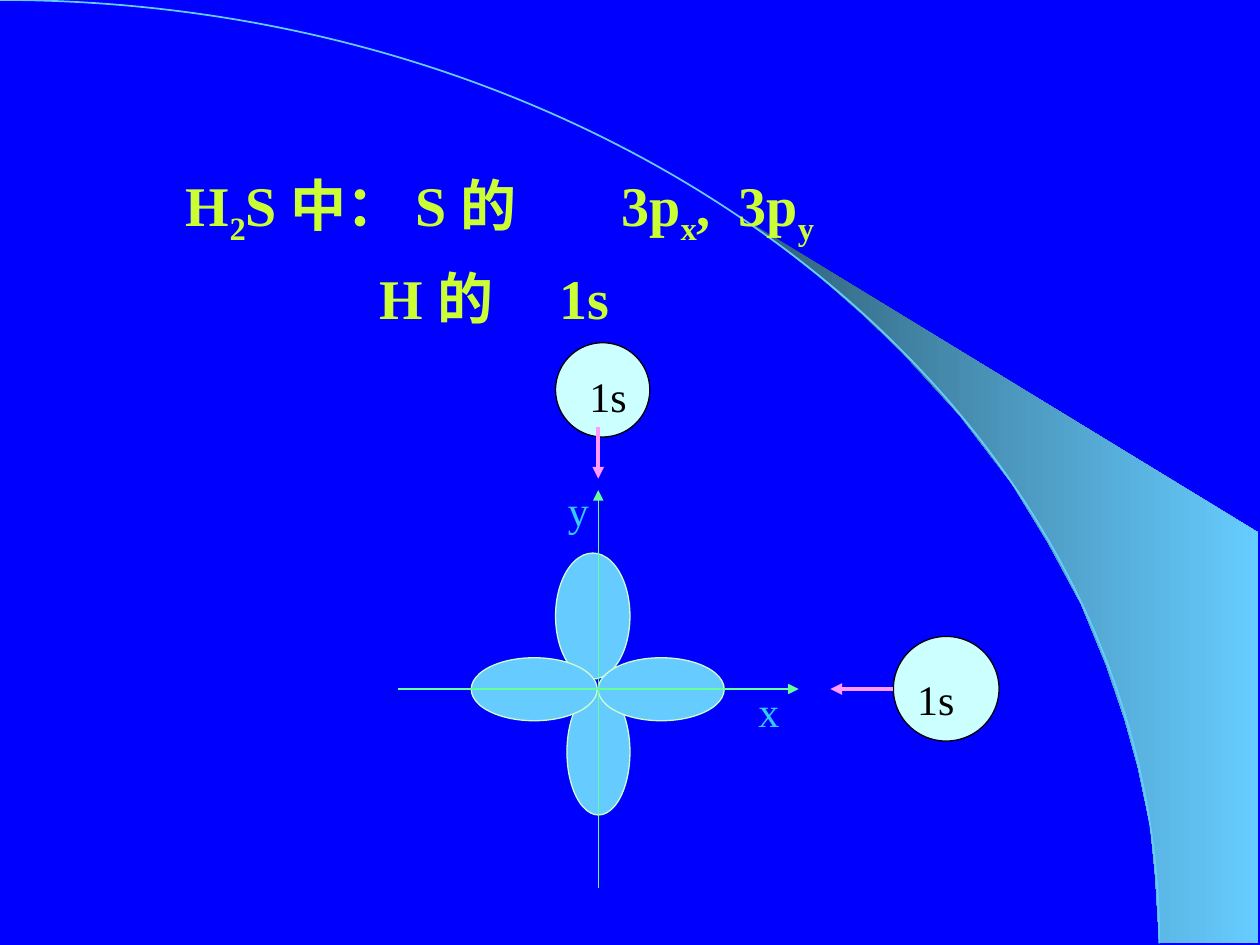
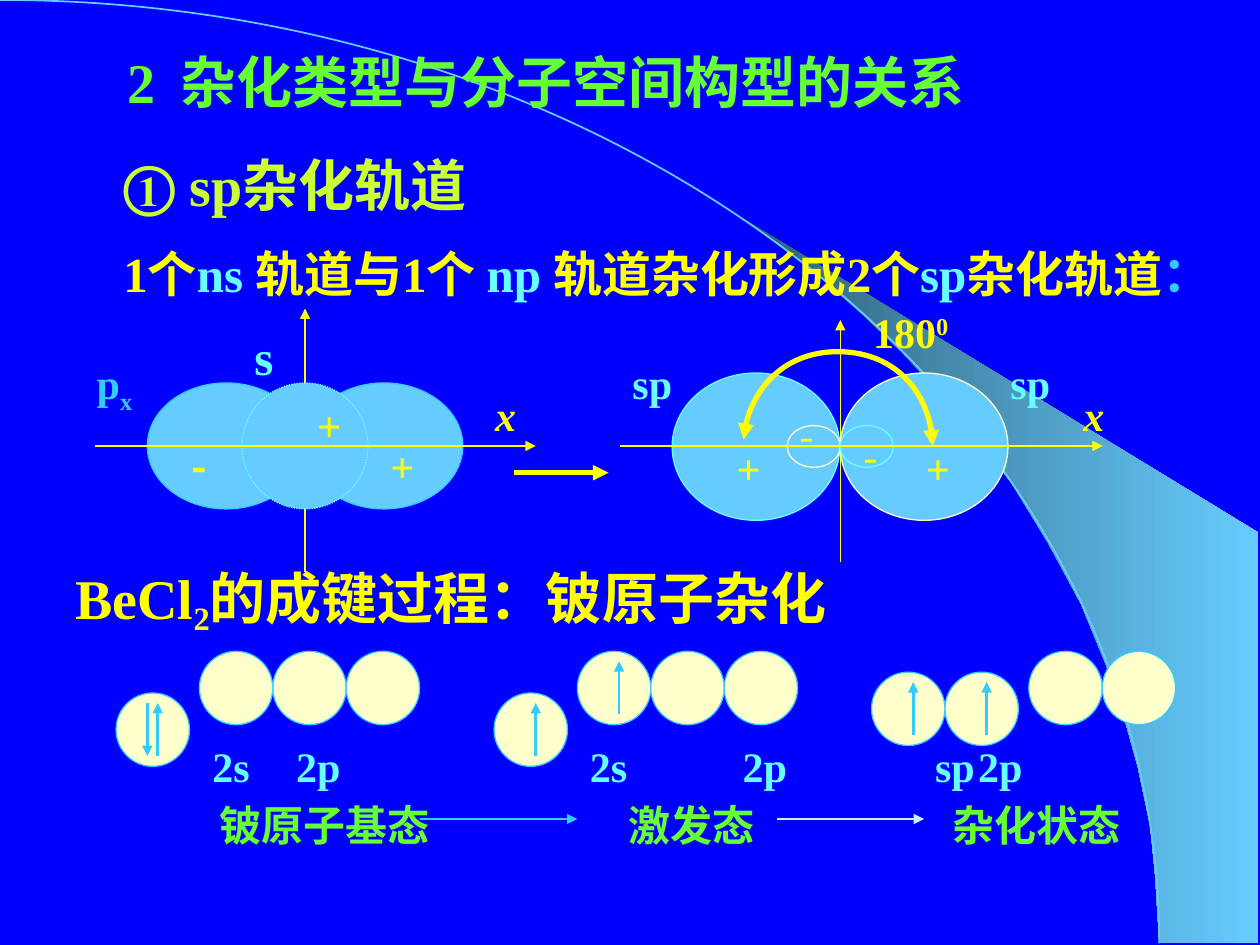
from dataclasses import dataclass
from typing import NamedTuple

from lxml import etree
from pptx import Presentation
from pptx import util as u
from pptx.dml import color
from pptx.enum import dml, shapes, text
from pptx.oxml import ns

COLOURS = {
    "background": "0000FF", "band_dark": "2F5E76", "sky": "66CCFF", "azure": "33CCFF",
    "lime": "CCFF33", "green": "66FF33", "mint": "CCFFCC", "axis_green": "66FF99",
    "pale_cyan": "CCFFFF", "cyan": "66FFFF", "pale_blue": "CCECFF", "cream": "FFFFCC",
    "yellow": "FFFF00", "pink": "FF99FF", "black": "000000",
}
LATIN, CHINESE = "Times New Roman", "Noto Sans CJK SC"
BAND = [(23.37, 19), (25.37, 19.02), (25.37, 10.74), (14.96, 4.39), (15.85, 5.05),
        (16.59, 5.64), (17.4, 6.35), (18.19, 7.11), (19.35, 8.38), (20.4, 9.75),
        (21.13, 10.95), (21.79, 12.17), (22.3, 13.41), (22.68, 14.53), (22.94, 15.47),
        (23.19, 16.66), (23.29, 17.68)]
HORIZON = [(0, 0), (12.9, 0), (23.37, 8.51), (23.37, 19.02)]
ANGLE_ARC = [(14.99, 8.86), (15.06, 7.87), (15.9, 7.09), (16.89, 7.09),
             (17.96, 7.09), (18.8, 7.95), (18.8, 8.99)]
ORBITAL_SIZE = 1.48
STATE_STEP = 7.62


class Run(NamedTuple):
    text: str
    baseline: int = 0
    colour: str = ""


@dataclass
class Paragraph:
    runs: list[Run]
    colour: str
    size: float = 24
    bold: bool = True
    italic: bool = False
    font: str = LATIN
    line_spacing: float = 1
    before: float = 0
    indent: float = 0
    tabs: tuple[float, ...] = ()
    justified: bool = False


@dataclass
class Label:
    left: float
    top: float
    paragraph: Paragraph
    width: float = 1.27


@dataclass
class Ellipse:
    left: float
    top: float
    width: float
    height: float
    fill: str
    line: str
    dash: dml.MSO_LINE | None = None


@dataclass
class Arrow:
    start: tuple[float, float]
    end: tuple[float, float]
    colour: str
    weight: float = 0.75


@dataclass
class Orbital:
    left: float
    top: float
    spins: str = ""


@dataclass
class State:
    left: float
    width: float
    orbitals: list[Orbital]
    lower: str
    lower_indent: float
    upper_tab: float
    name: str
    name_indent: float


def rgb(name: str) -> color.RGBColor:
    return color.RGBColor.from_string(COLOURS[name])


def add_text(slide, left: float, top: float, width: float, height: float,
             paragraphs: list[Paragraph]) -> None:
    frame = slide.shapes.add_textbox(*map(u.Cm, (left, top, width, height))).text_frame
    frame.word_wrap = True
    for index, content in enumerate(paragraphs):
        paragraph = frame.add_paragraph() if index else frame.paragraphs[0]
        properties = paragraph._p.get_or_add_pPr()
        if content.indent:
            properties.set("indent", str(u.Cm(content.indent)))
        if content.tabs:
            tab_list = etree.SubElement(properties, ns.qn("a:tabLst"))
            for position in content.tabs:
                etree.SubElement(tab_list, ns.qn("a:tab"), pos=str(u.Cm(position)), algn="l")
        paragraph.line_spacing = content.line_spacing
        paragraph.space_before = u.Pt(content.before)
        paragraph.alignment = text.PP_ALIGN.JUSTIFY if content.justified else text.PP_ALIGN.LEFT
        font = paragraph.font
        font.name, font.size = content.font, u.Pt(content.size)
        font.bold, font.italic = content.bold, content.italic
        font.color.rgb = rgb(content.colour)
        latin = font._element.find(ns.qn("a:latin"))
        latin.addnext(latin.makeelement(ns.qn("a:ea"), typeface=CHINESE))
        for part in content.runs:
            run = paragraph.add_run()
            run.text = part.text
            if part.colour:
                run.font.color.rgb = rgb(part.colour)
            if part.baseline:
                run.font._element.set("baseline", str(part.baseline * 1000))


def add_labels(slide, labels: list[Label]) -> None:
    for label in labels:
        add_text(slide, label.left, label.top, label.width, 1.27, [label.paragraph])


def add_ellipse(slide, ellipse: Ellipse) -> None:
    box = map(u.Cm, (ellipse.left, ellipse.top, ellipse.width, ellipse.height))
    shape = slide.shapes.add_shape(shapes.MSO_SHAPE.OVAL, *box)
    shape.shadow.inherit = False
    shape.fill.solid()
    shape.fill.fore_color.rgb = rgb(ellipse.fill)
    shape.line.color.rgb = rgb(ellipse.line)
    shape.line.width = u.Pt(0.75)
    if ellipse.dash:
        shape.line.dash_style = ellipse.dash


def add_arrowheads(shape, *ends: str) -> None:
    for end in ends:
        etree.SubElement(shape.line._get_or_add_ln(), ns.qn(f"a:{end}"), type="triangle")


def add_arrow(slide, arrow: Arrow) -> None:
    connector = slide.shapes.add_connector(
        shapes.MSO_CONNECTOR.STRAIGHT, *map(u.Cm, arrow.start + arrow.end))
    connector.line.color.rgb = rgb(arrow.colour)
    connector.line.width = u.Pt(arrow.weight)
    add_arrowheads(connector, "tailEnd")
    etree.SubElement(connector._element.spPr, ns.qn("a:effectLst"))


def add_outline(slide, points: list[tuple[float, float]], close: bool):
    start, *rest = [(u.Cm(x), u.Cm(y)) for x, y in points]
    builder = slide.shapes.build_freeform(*start)
    builder.add_line_segments(rest, close=close)
    shape = builder.convert_to_shape()
    shape.shadow.inherit = False
    return shape


def add_curve(slide, points: list[tuple[float, float]], colour: str, weight: float):
    """Draw a Bézier line through a start and triples of two controls and an end."""
    shape = add_outline(slide, points, close=False)
    segments = list(shape._element.iter(ns.qn("a:lnTo")))
    for index in range(0, len(segments), 3):
        triple = segments[index:index + 3]
        curve = triple[0].makeelement(ns.qn("a:cubicBezTo"))
        triple[0].addprevious(curve)
        for segment in triple:
            curve.append(segment[0])
            segment.getparent().remove(segment)
    shape.fill.background()
    shape.line.color.rgb = rgb(colour)
    shape.line.width = u.Pt(weight)
    return shape


def add_horizon_slide(presentation):
    """Add a slide with the curved horizon and its shaded band."""
    slide = presentation.slides.add_slide(presentation.slide_layouts[6])
    slide.background.fill.solid()
    slide.background.fill.fore_color.rgb = rgb("background")
    band = add_outline(slide, BAND, close=True)
    band.line.fill.background()
    band.fill.gradient()
    band.fill.gradient_angle = 0
    for stop, colour in zip(band.fill.gradient_stops, ("band_dark", "sky")):
        stop.color.rgb = rgb(colour)
    add_curve(slide, HORIZON, "sky", 1)
    return slide


def add_state(slide, state: State) -> None:
    for orbital in state.orbitals:
        add_ellipse(slide, Ellipse(orbital.left, orbital.top, ORBITAL_SIZE, ORBITAL_SIZE,
                                   "cream", "azure"))
        top, bottom = orbital.top + 0.2, orbital.top + 1.27
        for spin in orbital.spins:
            x = orbital.left + (0.84 if spin == "↑" else 0.63)
            start, end = (bottom, top) if spin == "↑" else (top, bottom)
            add_arrow(slide, Arrow((x, start), (x, end), "azure", 1.5))
    add_text(slide, state.left, 15.24, state.width, 2, [
        Paragraph([Run(f"{state.lower}\t2p")], "cyan", line_spacing=0.5,
                  indent=state.lower_indent, tabs=(state.upper_tab,)),
        Paragraph([Run(state.name)], "green", line_spacing=0.7, before=15,
                  indent=state.name_indent),
    ])


def p_row(left: float, count: int, spins: str = "") -> list[Orbital]:
    """Line up touching p orbitals, with spins in the first."""
    return [Orbital(left + index * ORBITAL_SIZE, 13.13, "" if index else spins)
            for index in range(count)]


def build_h2s_slide(presentation) -> None:
    slide = add_horizon_slide(presentation)
    centre_x, centre_y = 12.06, 13.89
    for box in ((11.2, 11.15, 1.5, 2.54), (11.43, centre_y, 1.27, 2.54),
                (9.5, 13.26, 2.54, 1.27), (centre_x, 13.26, 2.54, 1.27)):
        add_ellipse(slide, Ellipse(*box, "sky", "mint"))
    add_arrow(slide, Arrow((centre_x, 17.91), (centre_x, 9.88), "axis_green"))
    add_arrow(slide, Arrow((8.03, centre_y), (16.1, centre_y), "axis_green"))
    for box in ((11.2, 6.91, 1.9, 1.9), (18.01, 12.83, 2.13, 2.11)):
        add_ellipse(slide, Ellipse(*box, "pale_cyan", "black"))
    add_arrow(slide, Arrow((centre_x, 8.61), (centre_x, 9.65), "pink", 2.25))
    add_arrow(slide, Arrow((18.01, centre_y), (16.74, centre_y), "pink", 2.25))
    add_labels(slide, [
        Label(left, top, Paragraph([Run(name)], colour, bold=False))
        for left, top, name, colour in (
            (11.63, 7.34, "1s", "black"), (18.24, 13.46, "1s", "black"),
            (11.2, 9.65, "y", "azure"), (15.04, 13.69, "x", "azure"))])
    add_text(slide, 3.5, 2.92, 13.5, 4.11, [
        Paragraph([Run("H"), Run("2", -25), Run("S 中： S 的\t3p"), Run("x", -25),
                   Run(",\t3p"), Run("y", -25)],
                  "lime", 32, line_spacing=1.25, tabs=(8.78, 11.14)),
        Paragraph([Run("\tH 的\t1s")], "lime", 32, line_spacing=1.25, tabs=(3.9, 7.53)),
    ])


def build_sp_slide(presentation) -> None:
    slide = add_horizon_slide(presentation)
    add_text(slide, 0.84, 0.84, 23.93, 6.58, [
        Paragraph([Run("2\t杂化类型与分子空间构型的关系")], "green", 32,
                  indent=1.49, tabs=(2.92,), justified=True),
        Paragraph([Run("① sp杂化轨道")], "lime", 32, before=20, indent=1.4, justified=True),
        Paragraph([Run("1个"), Run("ns ", colour="cyan"), Run("轨道与1个 "),
                   Run("np ", colour="cyan"), Run("轨道杂化形成2个"),
                   Run("sp", colour="cyan"), Run("杂化轨道"), Run("：", colour="azure")],
                  "yellow", 28, before=15, indent=1.4, justified=True),
    ])

    axis_y, hybrid_x, atom_x = 8.99, 16.94, 6.15
    add_arrow(slide, Arrow((hybrid_x, 11.33), (hybrid_x, 6.45), "yellow"))
    for left, top, width, height, line in (
            (hybrid_x, 7.52, 3.38, 2.97, "cream"), (13.55, 7.52, 3.38, 2.97, "cyan"),
            (15.87, 8.58, 1.07, 0.84, "cream"), (hybrid_x, 8.58, 1.07, 0.84, "cyan")):
        add_ellipse(slide, Ellipse(left, top, width, height, "sky", line))
    add_arrow(slide, Arrow((12.5, axis_y), (22.23, axis_y), "yellow"))
    add_arrow(slide, Arrow((10.36, 9.53), (12.27, 9.53), "yellow", 3))
    add_arrowheads(add_curve(slide, ANGLE_ARC, "yellow", 3), "headEnd", "tailEnd")

    add_arrow(slide, Arrow((atom_x, 11.53), (atom_x, 6.22), "yellow"))
    for left in (atom_x, 2.97):
        add_ellipse(slide, Ellipse(left, 7.72, 3.18, 2.54, "sky", "azure"))
    add_ellipse(slide, Ellipse(4.88, 7.72, 2.54, 2.54, "sky", "cyan", dml.MSO_LINE.ROUND_DOT))
    add_arrow(slide, Arrow((1.91, axis_y), (10.8, axis_y), "yellow"))

    axis_name = Paragraph([Run("x")], "yellow", italic=True)
    plus = Paragraph([Run("+")], "yellow")
    bold_minus = Paragraph([Run("-")], "yellow", font=CHINESE)
    minus = Paragraph([Run("-")], "yellow", font=CHINESE, bold=False)
    hybrid = Paragraph([Run("sp")], "cyan")
    add_labels(slide, [
        Label(9.73, 7.72, axis_name, 1.47), Label(21.59, 7.72, axis_name, 1.47),
        Label(18.42, 8.79, plus), Label(14.6, 8.79, plus),
        Label(atom_x, 7.92, plus), Label(7.62, 8.76, plus), Label(3.61, 8.76, bold_minus),
        Label(15.87, 8.15, minus), Label(17.15, 8.58, minus),
        Label(1.7, 7.09, Paragraph([Run("p"), Run("x", -25)], "azure"), 1.47),
        Label(4.88, 6.45, Paragraph([Run("s")], "cyan", 28), 1.47),
        Label(17.35, 6.05, Paragraph([Run("180"), Run("0", 30)], "yellow"), 2.34),
        Label(12.5, 7.09, hybrid, 1.47), Label(20.12, 7.09, hybrid, 1.47),
    ])

    add_text(slide, 1.27, 11.23, 18.82, 1.75, [
        Paragraph([Run("BeCl"), Run("2", -20), Run("的成键过程：铍原子杂化")], "yellow", 32)])
    for state in (
            State(3.18, 6.32, [Orbital(2.34, 13.97, "↑↓"), *p_row(4.02, 3)],
                  "2s", 0.85, 3.93, "铍原子基态", 0.99),
            State(11.64, 5.26, [Orbital(2.34 + STATE_STEP, 13.97, "↑"),
                                *p_row(4.02 + STATE_STEP, 3, "↑")],
                  "2s", 0, 3.08, "激发态", 0.79),
            State(18.2, 6.5, [Orbital(17.57, 13.55, "↑"), Orbital(19.05, 13.55, "↑"),
                              *p_row(20.74, 2)],
                  "sp", 0.4, 3.97, "杂化状态", 0.76)):
        add_state(slide, state)
    add_arrow(slide, Arrow((8.46, 16.51), (11.64, 16.51), "azure", 1.5))
    add_arrow(slide, Arrow((15.67, 16.51), (18.63, 16.51), "pale_blue", 1.5))


def main() -> None:
    presentation = Presentation()
    presentation.slide_width, presentation.slide_height = u.Cm(25.4), u.Cm(19.05)
    build_h2s_slide(presentation)
    build_sp_slide(presentation)
    presentation.save("out.pptx")


if __name__ == "__main__":
    main()
